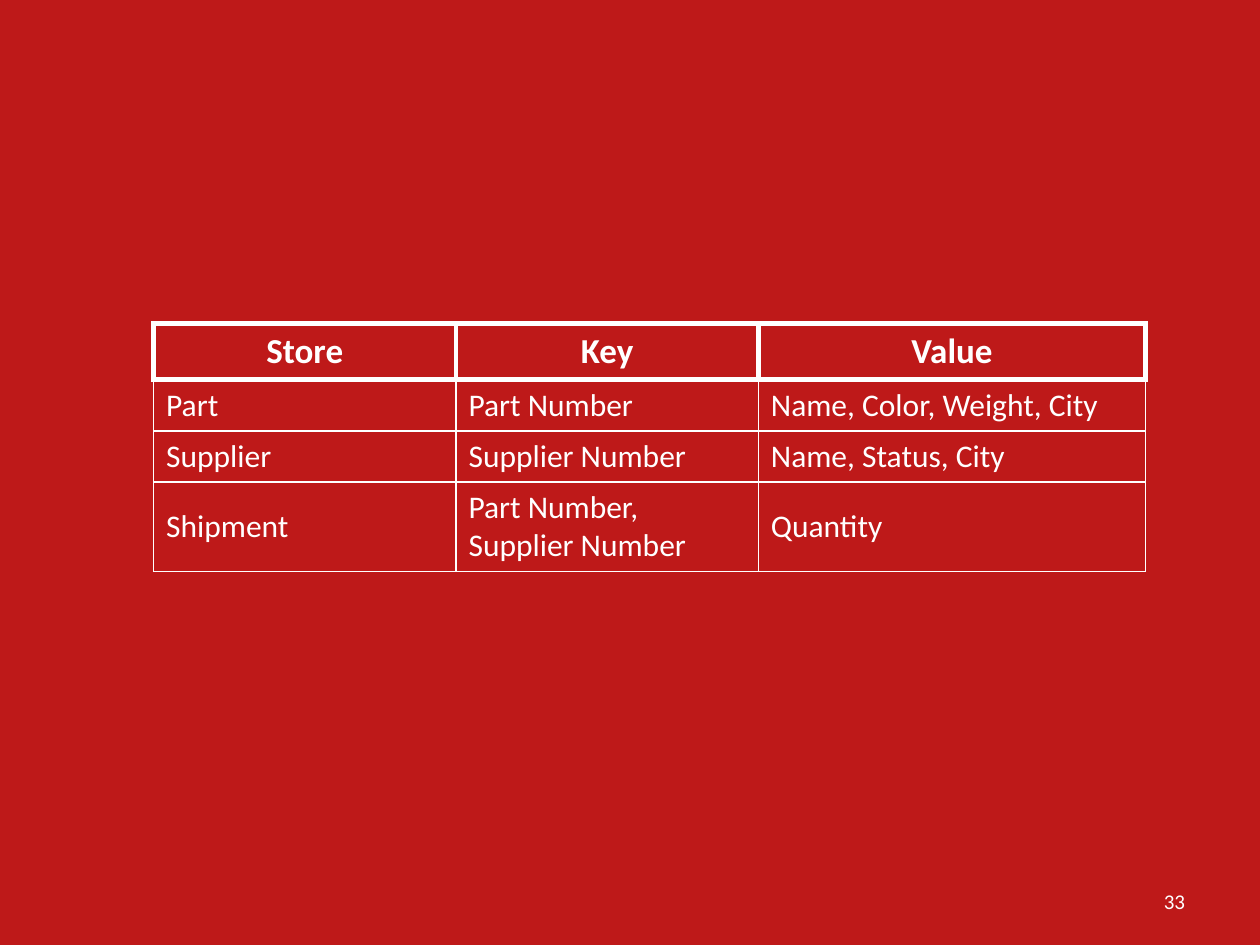
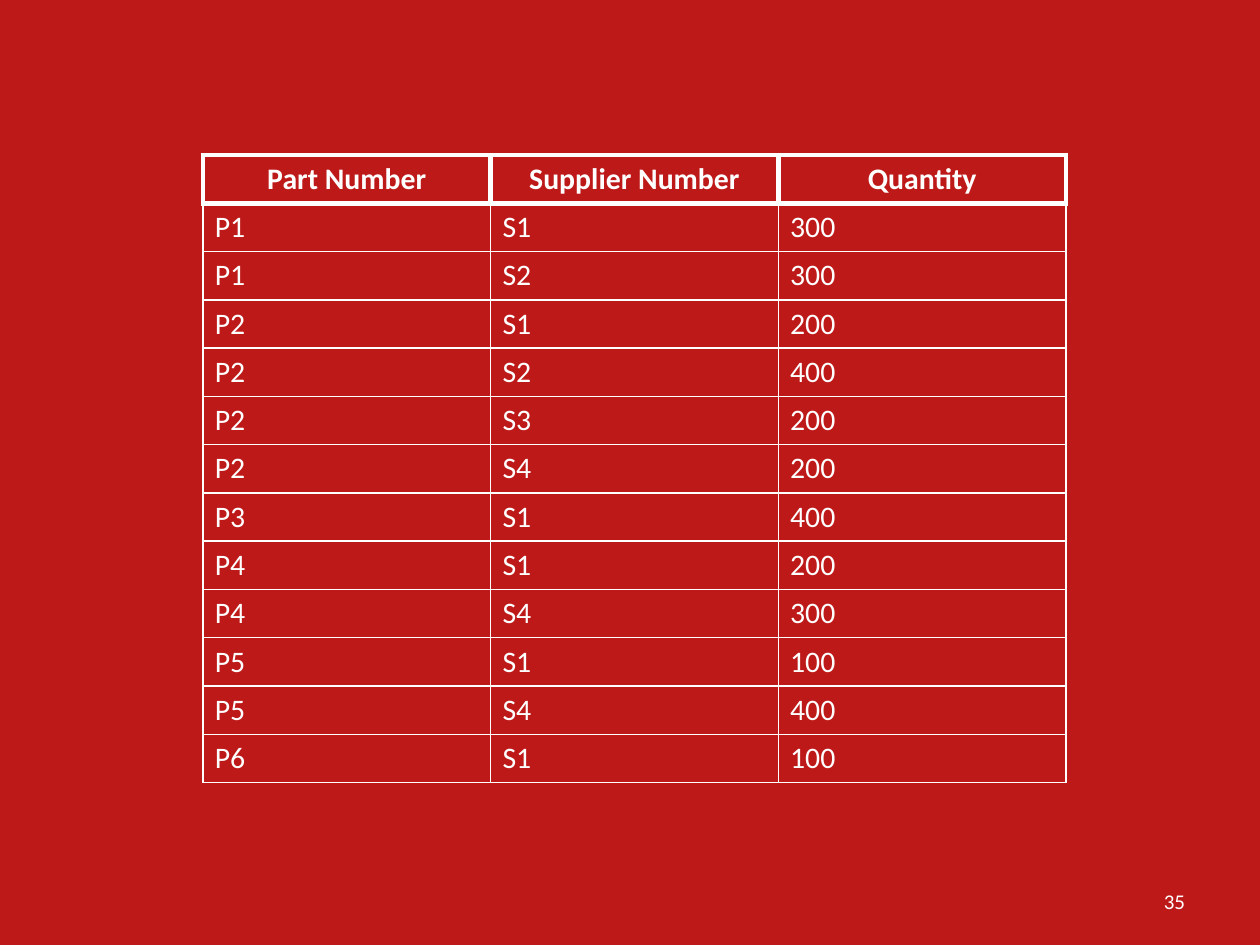
import pptx
import pptx.dml.color
import pptx.enum.text
import pptx.oxml
import pptx.oxml.ns
import pptx.util
from lxml import etree

Pt = pptx.util.Pt
ALIGN = pptx.enum.text.PP_ALIGN
MIDDLE = pptx.enum.text.MSO_ANCHOR.MIDDLE

COLORS = {"background": "BE1919", "text": "FFFFFF", "border": "FFFFFF"}
FONT = "Calibri"
SLIDE_SIZE = (720, 540)
NUMBER_BOX = (516.25, 500.4, 168, 28.8)
HEADER_BORDER, BODY_BORDER = 3, 1

STORES = [
    ("Store", "Key", "Value"),
    ("Part", "Part Number", "Name, Color, Weight, City"),
    ("Supplier", "Supplier Number", "Name, Status, City"),
    ("Shipment", "Part Number, Supplier Number", "Quantity"),
]
SHIPMENTS = [
    ("Part Number", "Supplier Number", "Quantity"),
    ("P1", "S1", "300"),
    ("P1", "S2", "300"),
    ("P2", "S1", "200"),
    ("P2", "S2", "400"),
    ("P2", "S3", "200"),
    ("P2", "S4", "200"),
    ("P3", "S1", "400"),
    ("P4", "S1", "200"),
    ("P4", "S4", "300"),
    ("P5", "S1", "100"),
    ("P5", "S4", "400"),
    ("P6", "S1", "100"),
]


def set_attributes(target, values):
    """Set each named attribute of the target."""
    for name, value in values.items():
        setattr(target, name, value)


def rgb(name):
    """Return the named colour of the palette."""
    return pptx.dml.color.RGBColor.from_string(COLORS[name])


def write_text(text_frame, text, size, alignment, bold=False):
    """Write one paragraph in the shared text style."""
    paragraph = text_frame.paragraphs[0]
    paragraph.alignment = alignment
    run = paragraph.add_run()
    run.text = text
    set_attributes(run.font, {"name": FONT, "size": Pt(size), "bold": bold})
    run.font.color.rgb = rgb("text")


def add_borders(cell, widths):
    """Draw the cell borders, given as side letter to width."""
    properties = cell._tc.get_or_add_tcPr()
    for side in "LRTB":
        line = etree.SubElement(
            properties, pptx.oxml.ns.qn("a:ln" + side), w=str(Pt(widths[side]))
        )
        fill = etree.SubElement(line, pptx.oxml.ns.qn("a:solidFill"))
        etree.SubElement(fill, pptx.oxml.ns.qn("a:srgbClr"), val=COLORS["border"])


def add_grid(slide, left, top, column_widths, row_heights, rows, sizes, margins):
    """Add a table with a heavy header row; sizes are header and body text."""
    table = slide.shapes.add_table(
        len(rows), len(column_widths), Pt(left), Pt(top),
        Pt(sum(column_widths)), Pt(sum(row_heights)),
    ).table
    set_attributes(table, {"first_row": False, "horz_banding": False})
    for column, width in zip(table.columns, column_widths):
        column.width = Pt(width)
    for row, height in zip(table.rows, row_heights):
        row.height = Pt(height)

    side_margin, end_margin = map(Pt, margins)
    cell_format = {
        "vertical_anchor": MIDDLE,
        "margin_left": side_margin,
        "margin_right": side_margin,
        "margin_top": end_margin,
        "margin_bottom": end_margin,
    }
    for row_index, texts in enumerate(rows):
        header = row_index == 0
        widths = dict.fromkeys("LRTB", HEADER_BORDER if header else BODY_BORDER)
        if row_index == 1:
            widths["T"] = HEADER_BORDER
        for column_index, text in enumerate(texts):
            cell = table.cell(row_index, column_index)
            set_attributes(cell, cell_format)
            add_borders(cell, widths)
            cell.fill.background()
            write_text(
                cell.text_frame, text, sizes[0] if header else sizes[1],
                ALIGN.CENTER if header else ALIGN.LEFT, header,
            )


def add_page_number(slide, number, box):
    """Place the page number at the right of the box."""
    text_frame = slide.shapes.add_textbox(*map(Pt, box)).text_frame
    set_attributes(text_frame, {"word_wrap": True, "vertical_anchor": MIDDLE})
    write_text(text_frame, str(number), 12, ALIGN.RIGHT)


def add_table_slide(presentation, number, **grid):
    """Add a slide with the shared background, a table and a page number."""
    slide = presentation.slides.add_slide(presentation.slide_layouts[6])
    slide.background.fill.solid()
    slide.background.fill.fore_color.rgb = rgb("background")
    add_grid(slide, **grid)
    add_page_number(slide, number, NUMBER_BOX)


presentation = pptx.Presentation()
set_attributes(
    presentation, dict(zip(("slide_width", "slide_height"), map(Pt, SLIDE_SIZE)))
)
add_table_slide(
    presentation, 33, left=87.75, top=185, column_widths=[172.8, 172.8, 221.3],
    row_heights=[32, 29.2, 29.2, 51.2], rows=STORES, sizes=(20, 18),
    margins=(7.2, 3.6),
)
add_table_slide(
    presentation, 35, left=116, top=88.6, column_widths=[164.4] * 3,
    row_heights=[27.6] * len(SHIPMENTS), rows=SHIPMENTS, sizes=(17, 17),
    margins=(6.8, 3.4),
)
presentation.save("out.pptx")
